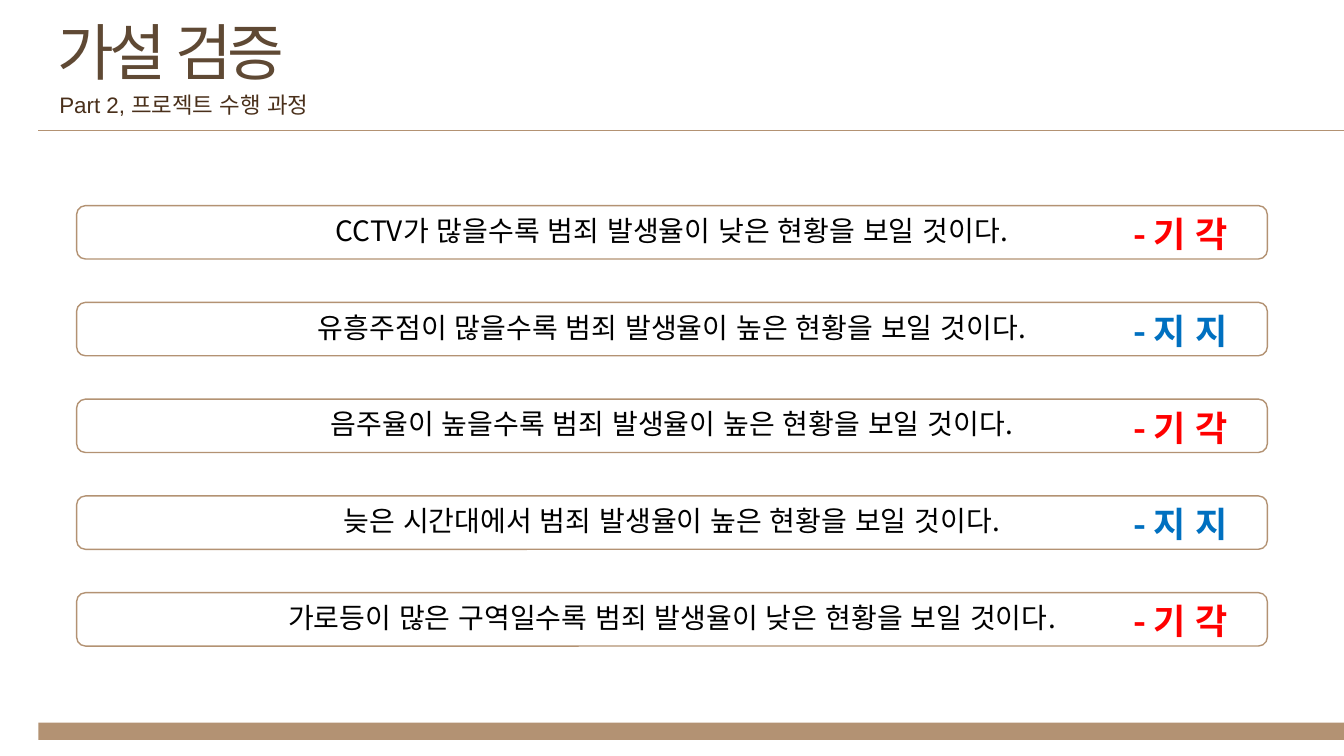
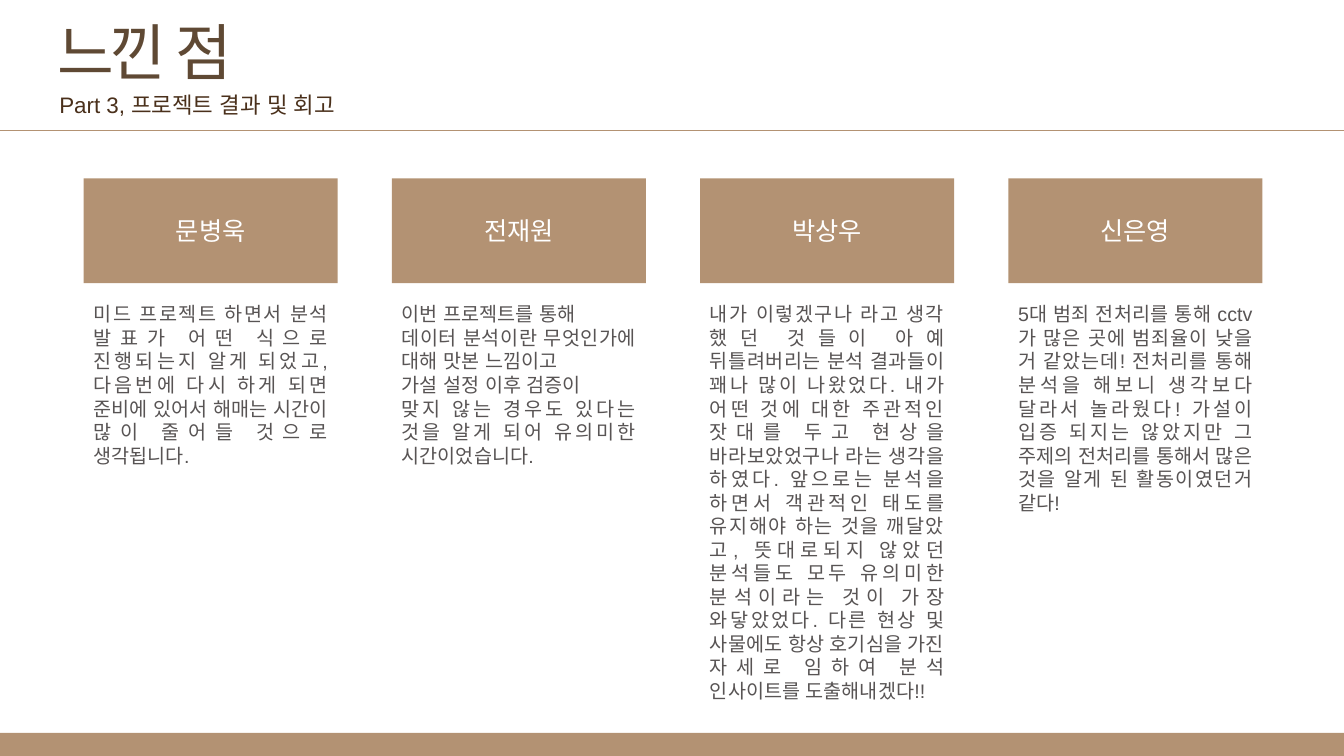
from lxml import etree
from pptx import Presentation
from pptx.dml.color import RGBColor
from pptx.enum.lang import MSO_LANGUAGE_ID
from pptx.enum.shapes import MSO_CONNECTOR, MSO_SHAPE
from pptx.enum.text import MSO_ANCHOR, PP_ALIGN
from pptx.oxml.ns import qn
from pptx.util import Inches, Pt

RECT, ROUNDED = MSO_SHAPE.RECTANGLE, MSO_SHAPE.ROUNDED_RECTANGLE
STRAIGHT = MSO_CONNECTOR.STRAIGHT
LEFT, CENTER, JUSTIFY = PP_ALIGN.LEFT, PP_ALIGN.CENTER, PP_ALIGN.JUSTIFY
TOP, MIDDLE = MSO_ANCHOR.TOP, MSO_ANCHOR.MIDDLE
KOREAN = MSO_LANGUAGE_ID.KOREAN

LATIN_FONT, KOREAN_FONT = "Arial", "Noto Sans CJK KR"
TAN, WHITE, BLACK = "B39273", "FFFFFF", "000000"
TITLE_BROWN, PART_BROWN, BODY_GRAY = "5F4934", "4A301B", "585454"
SLIDE_W, SLIDE_H = 13.33, 7.5

HYPOTHESES = [
    ("CCTV가 많을수록 범죄 발생율이 낮은 현황을 보일 것이다.", "기각"),
    ("유흥주점이 많을수록 범죄 발생율이 높은 현황을 보일 것이다.", "지지"),
    ("음주율이 높을수록 범죄 발생율이 높은 현황을 보일 것이다.", "기각"),
    ("늦은 시간대에서 범죄 발생율이 높은 현황을 보일 것이다.", "지지"),
    ("가로등이 많은 구역일수록 범죄 발생율이 낮은 현황을 보일 것이다.", "기각"),
]
VERDICTS = {"기각": ("- 기 각", "FF0000"), "지지": ("- 지 지", "0070C0")}

REFLECTIONS = [
    ("문병욱", [
        "미드 프로젝트 하면서 분석 발표가 어떤 식으로 진행되는지 알게 되었고, "
        "다음번에 다시 하게 되면 준비에 있어서 해매는 시간이 많이 줄어들 것으로 "
        "생각됩니다."]),
    ("전재원", [
        "이번 프로젝트를 통해",
        "데이터 분석이란 무엇인가에 대해 맛본 느낌이고",
        "가설 설정 이후 검증이",
        "맞지 않는 경우도 있다는 것을 알게 되어 유의미한 시간이었습니다."]),
    ("박상우", [
        "내가 이렇겠구나 라고 생각 했던 것들이 아예 뒤틀려버리는 분석 결과들이 "
        "꽤나 많이 나왔었다. 내가 어떤 것에 대한 주관적인 잣대를 두고 현상을 "
        "바라보았었구나 라는 생각을 하였다. 앞으로는 분석을 하면서 객관적인 태도를 "
        "유지해야 하는 것을 깨달았고, 뜻대로되지 않았던 분석들도 모두 유의미한 "
        "분석이라는 것이 가장 와닿았었다. 다른 현상 및 사물에도 항상 호기심을 가진 "
        "자세로 임하여 분석 인사이트를 도출해내겠다!!"]),
    ("신은영", [
        "5대 범죄 전처리를 통해 cctv가 많은 곳에 범죄율이 낮을 거 같았는데! "
        "전처리를 통해 분석을 해보니 생각보다 달라서 놀라웠다! 가설이 입증 되지는 "
        "않았지만 그 주제의 전처리를 통해서 많은 것을 알게 된 활동이였던거 같다!"]),
]


def rgb(color):
    return RGBColor.from_string(color)


def write(shape, paragraphs, size, color, font=LATIN_FONT, align=LEFT,
          anchor=TOP, bold=False, tracking=None, line_spacing=None):
    """Fill a shape with one run per paragraph; tracking is in points."""
    frame = shape.text_frame
    frame.word_wrap = True
    frame.vertical_anchor = anchor
    for index, text in enumerate(paragraphs):
        paragraph = frame.add_paragraph() if index else frame.paragraphs[0]
        paragraph.alignment = align
        paragraph.line_spacing = line_spacing
        run = paragraph.add_run()
        run.text = text
        run.font.size = Pt(size)
        run.font.bold = bold
        run.font.language_id = KOREAN
        run.font.color.rgb = rgb(color)
        run.font.name = font
        properties = run._r.get_or_add_rPr()
        etree.SubElement(properties, qn("a:ea"), typeface=KOREAN_FONT)
        if tracking is not None:
            properties.set("spc", str(tracking * 100))


def add_text(slide, box, paragraphs, size, color, **style):
    textbox = slide.shapes.add_textbox(*map(Inches, box))
    write(textbox, paragraphs, size, color, **style)


def add_panel(slide, kind, box, fill, line=None):
    panel = slide.shapes.add_shape(kind, *map(Inches, box))
    panel.shadow.inherit = False
    panel.fill.solid()
    panel.fill.fore_color.rgb = rgb(fill)
    if line:
        panel.line.color.rgb = rgb(line)
        panel.line.width = Pt(1)
    else:
        panel.line.fill.background()
    return panel


def add_page(deck, title, part, left, band_top, band_height):
    """Add a slide with title, part line, rule and bottom band from left."""
    slide = deck.slides.add_slide(deck.slide_layouts[6])
    add_panel(slide, RECT, (left, band_top, SLIDE_W - left, band_height), TAN)
    rule = slide.shapes.add_connector(
        STRAIGHT, *map(Inches, (left, 1.29, SLIDE_W, 1.29)))
    rule.line.color.rgb = rgb(TAN)
    rule.line.width = Pt(0.5)
    etree.SubElement(rule._element.spPr, qn("a:effectLst"))
    add_text(slide, (0.47, 0.09, 6, 0.84), [title], 44, TITLE_BROWN, tracking=-3)
    add_text(slide, (0.49, 0.86, 6, 0.37), [part], 16, PART_BROWN)
    return slide


def build_hypotheses(deck):
    slide = add_page(deck, "가설 검증", "Part 2, 프로젝트 수행 과정",
                     left=0.38, band_top=7.17, band_height=0.17)
    first_top, pitch = 2.04, 0.96
    for row, (hypothesis, verdict) in enumerate(HYPOTHESES):
        top = first_top + row * pitch
        panel = add_panel(slide, ROUNDED, (0.76, top, 11.81, 0.53), WHITE, TAN)
        write(panel, [hypothesis], 20, BLACK, font=KOREAN_FONT, align=CENTER,
              anchor=MIDDLE, line_spacing=0.9)
        label, color = VERDICTS[verdict]
        add_text(slide, (11.14, top + 0.02, 1.64, 0.52), [label], 25, color,
                 font=KOREAN_FONT, bold=True)


def build_reflections(deck):
    slide = add_page(deck, "느낀 점", "Part 3, 프로젝트 결과 및 회고",
                     left=0, band_top=7.27, band_height=0.23)
    first_left, last_left, width = 0.83, 10, 2.52
    pitch = (last_left - first_left) / (len(REFLECTIONS) - 1)
    for column, (member, thoughts) in enumerate(REFLECTIONS):
        left = first_left + column * pitch
        header = add_panel(slide, RECT, (left, 1.77, width, 1.04), TAN)
        write(header, [member], 18, WHITE, align=CENTER, anchor=MIDDLE)
        add_text(slide, (left, 2.95, width, 3.87), thoughts, 14, BODY_GRAY,
                 align=JUSTIFY)


def main():
    deck = Presentation()
    deck.slide_width, deck.slide_height = Inches(SLIDE_W), Inches(SLIDE_H)
    build_hypotheses(deck)
    build_reflections(deck)
    deck.save("out.pptx")


if __name__ == "__main__":
    main()
